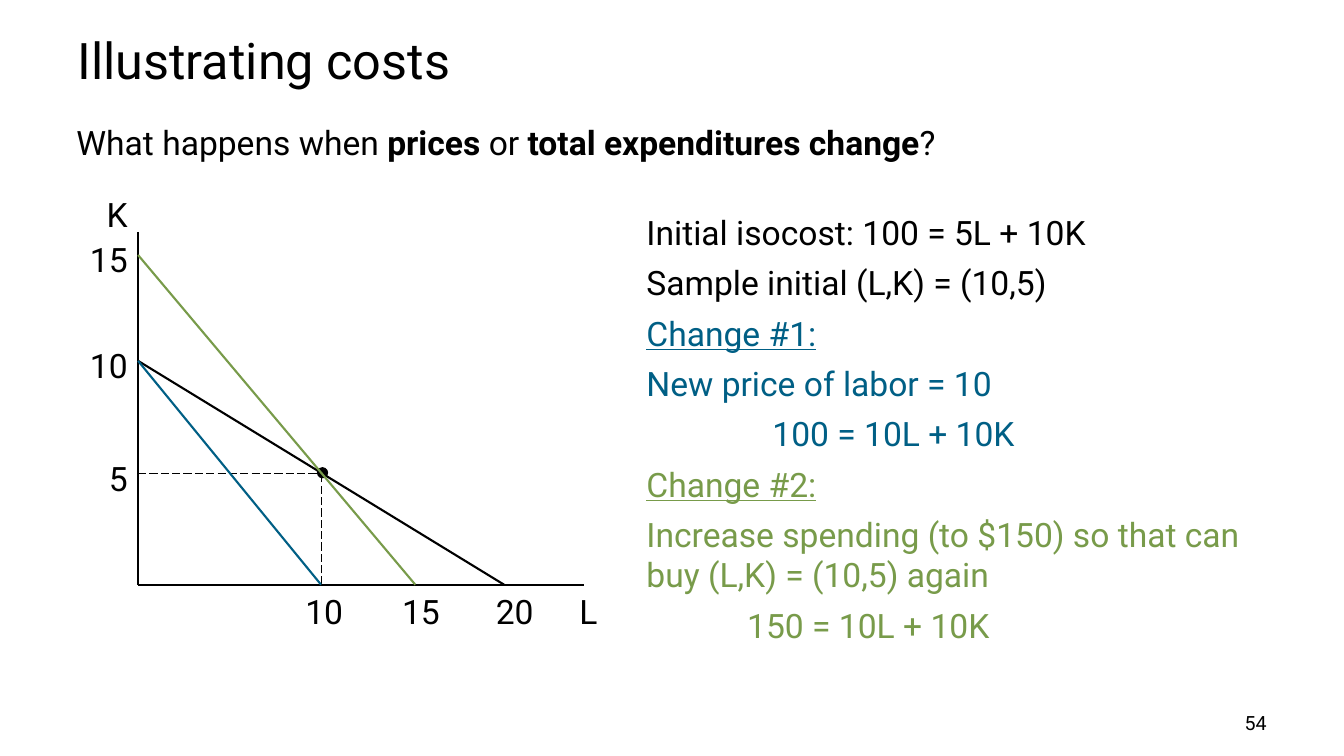
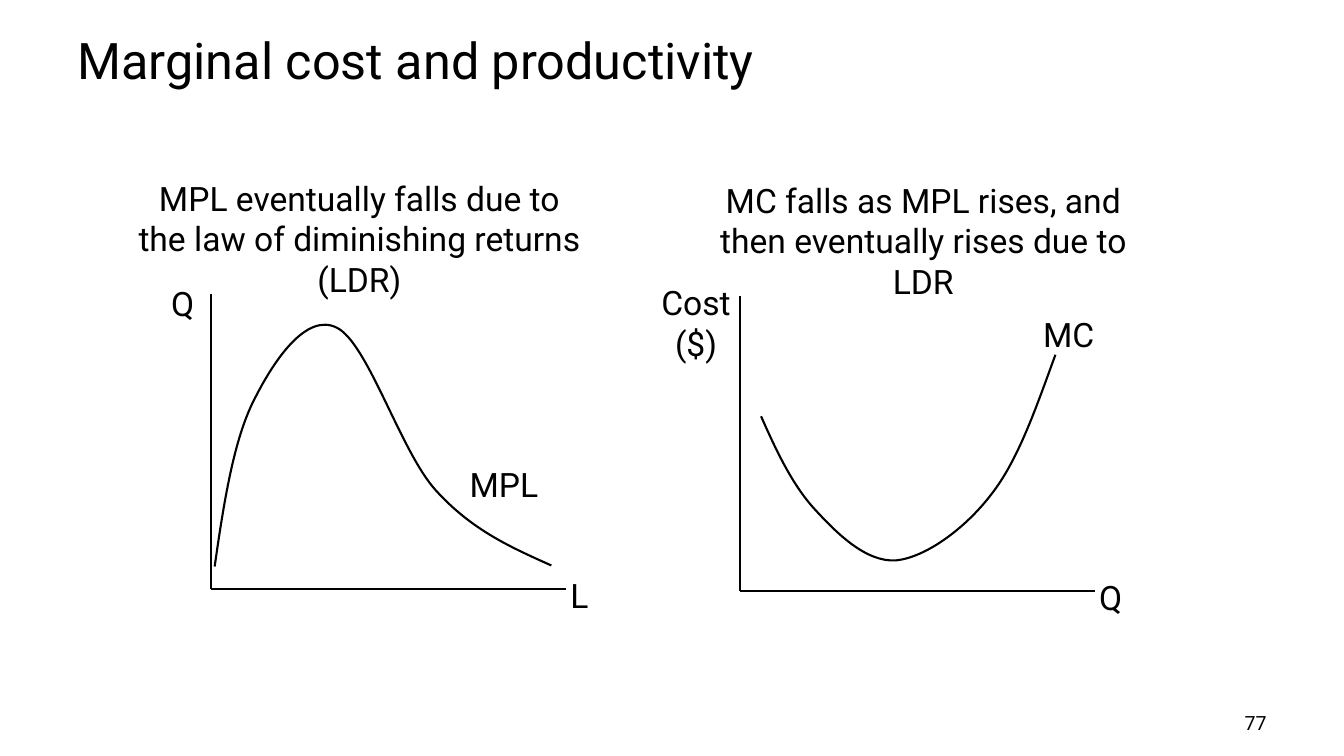
from dataclasses import dataclass

import lxml.etree
import pptx
import pptx.dml.color
import pptx.enum.dml
import pptx.enum.shapes
import pptx.enum.text
import pptx.oxml.ns
import pptx.util

# Lengths are cells of a square grid, ten cells to the inch.
CELL = pptx.util.Inches(0.1)
WIDE, HIGH = 133.33, 75
FONT = "Roboto"
INK, BLUE, GREEN = "000000", "005F85", "789B4A"
ALIGN = pptx.enum.text.PP_ALIGN
ANCHOR = pptx.enum.text.MSO_ANCHOR
LARGE_DASH = pptx.enum.dml.MSO_LINE.LONG_DASH

Point = tuple[float, float]
Box = tuple[float, float, float, float]


@dataclass
class Para:
    """Runs alternate between plain and bold."""
    runs: tuple[str, ...]
    color: str = INK
    under: bool = False
    indent: float = 0


@dataclass
class Panel:
    """A sketch graph; all places except the origin are offsets from it."""
    origin: Point
    cap: str
    cap_at: Point
    cap_w: float
    up: tuple[str, ...]
    up_at: Point
    up_w: float
    up_align: ALIGN
    right: str
    name: str
    name_at: Point
    curve: list[Point]


def size(n: float) -> int:
    return round(n * CELL)


def tint(code: str) -> pptx.dml.color.RGBColor:
    return pptx.dml.color.RGBColor.from_string(code)


def text(slide, box: Box, paras: list[Para], *, pt: float = 24,
         align=ALIGN.LEFT, anchor=ANCHOR.TOP, gap: float = 0) -> None:
    frame = slide.shapes.add_textbox(*map(size, box)).text_frame
    frame.word_wrap = True
    frame.vertical_anchor = anchor
    for i, para in enumerate(paras):
        line = frame.paragraphs[0] if i == 0 else frame.add_paragraph()
        line.alignment = align
        if i:
            line.space_before = pptx.util.Pt(gap)
        if para.indent:
            line._p.get_or_add_pPr().set("marL", str(size(para.indent)))
        for j, words in enumerate(para.runs):
            run = line.add_run()
            run.text = words
            font = run.font
            font.name, font.size = FONT, pptx.util.Pt(pt)
            font.bold, font.underline = j % 2 == 1, para.under
            font.color.rgb = tint(para.color)


def label(slide, words: str, box: Box, **form) -> None:
    text(slide, box, [Para((words,))], **form)


def line(slide, start: Point, end: Point, color: str = INK,
         pt: float = 1.5, dash=None) -> None:
    link = slide.shapes.add_connector(
        pptx.enum.shapes.MSO_CONNECTOR.STRAIGHT, *map(size, start + end))
    link.line.color.rgb = tint(color)
    link.line.width = pptx.util.Pt(pt)
    if dash:
        link.line.dash_style = dash
    lxml.etree.SubElement(link._element.spPr, pptx.oxml.ns.qn("a:effectLst"))


def dot(slide, mid: Point, wide: float) -> None:
    x, y = mid
    mark = slide.shapes.add_shape(
        pptx.enum.shapes.MSO_SHAPE.OVAL,
        *map(size, (x - wide / 2, y - wide / 2, wide, wide)))
    mark.shadow.inherit = False
    mark.fill.solid()
    mark.fill.fore_color.rgb = mark.line.color.rgb = tint(INK)
    mark.line.width = pptx.util.Pt(0.75)


def curve(slide, knots: list[Point]) -> None:
    """Draw joined cubic Bezier curves: a start, then three knots for each."""
    dots = [(size(x), size(y)) for x, y in knots]
    pen = slide.shapes.build_freeform(*dots[0])
    pen.add_line_segments(dots[1:], close=False)
    shape = pen.convert_to_shape()
    legs = list(shape._element.iter(pptx.oxml.ns.qn("a:lnTo")))
    for i in range(0, len(legs), 3):
        bend = lxml.etree.Element(pptx.oxml.ns.qn("a:cubicBezTo"))
        legs[i].addprevious(bend)
        for leg in legs[i:i + 3]:
            bend.append(leg[0])
            leg.getparent().remove(leg)
    shape.shadow.inherit = False
    shape.fill.background()
    shape.line.color.rgb = tint(INK)
    shape.line.width = pptx.util.Pt(1.5)


def axes(slide, base: Point, wide: float, high: float) -> None:
    x, y = base
    line(slide, (x, y - high), base)
    line(slide, base, (x + wide, y))


def start(deck, title: str, page: int):
    """Add a slide with its title and page number."""
    slide = deck.slides.add_slide(deck.slide_layouts[6])
    label(slide, title, (6.7, 2.3, 120, 7.1), pt=36, anchor=ANCHOR.MIDDLE)
    label(slide, str(page), (95.55, 70.05, 31.1, 3.4), pt=14,
          align=ALIGN.RIGHT)
    return slide


def costs(deck) -> None:
    slide = start(deck, "Illustrating costs", 54)
    left, base = 13.7, 58
    across = {10: 31.85, 15: 41.2, 20: 50}
    up = {15: 25.3, 10: 35.8, 5: 47}

    axes(slide, (left, base), 44.2, 35)
    line(slide, (left, up[10]), (across[20], base))
    mix = across[10], up[5]
    dot(slide, (32, 46.9), 1)
    for foot in ((left, up[5]), (across[10], base)):
        line(slide, foot, mix, pt=0.75, dash=LARGE_DASH)
    for most, color in ((10, BLUE), (15, GREEN)):
        line(slide, (left, up[most]), (across[most], base), color)

    ticks = [("K", 18.75)] + [(str(k), y - 2.05) for k, y in up.items()]
    for words, top in ticks:
        label(slide, words, (6.75, top, 6.9, 5), align=ALIGN.RIGHT)
    for words, x in (("10", 29.3), ("15", 38.9), ("20", 48.2), ("L", 56.5)):
        label(slide, words, (x, 58.1, 6.9, 5))

    text(slide, (6.6, 11.6, 90, 5), [Para((
        "What happens when ", "prices", " or ",
        "total expenditures change", "?"))])
    text(slide, (63.15, 20.5, 61.7, 45.8), [
        Para(("Initial isocost: 100 = 5L + 10K",)),
        Para(("Sample initial (L,K) = (10,5)",)),
        Para(("Change #1:",), BLUE, under=True),
        Para(("New price of labor = 10",), BLUE),
        Para(("100 = 10L + 10K",), BLUE, indent=12.5),
        Para(("Change #2:",), GREEN, under=True),
        Para(("Increase spending (to $150) so that can buy "
              "(L,K) = (10,5) again",), GREEN),
        Para(("150 = 10L + 10K",), GREEN, indent=10),
    ], gap=7.2)


def graph(slide, panel: Panel) -> None:
    x, y = panel.origin

    def place(at: Point, wide: float, high: float) -> Box:
        return x + at[0], y + at[1], wide, high

    axes(slide, panel.origin, 35.2, 29.2)
    curve(slide, [(x + dx, y + dy) for dx, dy in panel.curve])
    label(slide, panel.cap, place(panel.cap_at, panel.cap_w, 9.1),
          align=ALIGN.CENTER)
    text(slide, place(panel.up_at, panel.up_w, 5),
         [Para((words,)) for words in panel.up], align=panel.up_align)
    label(slide, panel.right, place((34.65, -1.85), 6, 5))
    label(slide, panel.name, place(panel.name_at, 10.5, 5))


def output(deck) -> None:
    slide = start(deck, "Marginal cost and productivity", 77)
    panels = [
        Panel((20.95, 58.4),
              "MPL eventually falls due to the law of diminishing "
              "returns (LDR)", (-8.9, -41.25), 47.2,
              ("Q",), (-4.95, -30.8), 4.6, ALIGN.LEFT,
              "L", "MPL", (24.65, -12.9),
              [(0.35, -2.2), (1.25, -8.5), (2.25, -14.8), (4.25, -18.7),
               (6.25, -22.7), (9.45, -27.4), (12.45, -25.9),
               (15.55, -24.4), (18.75, -13.7), (22.25, -9.8),
               (25.85, -5.8), (29.75, -4.1), (33.75, -2.3)]),
        Panel((73.4, 58.6),
              "MC falls as MPL rises, and then eventually rises due "
              "to LDR", (-4.3, -41.25), 45,
              ("Cost", "($)"), (-9.4, -31.1), 10.1, ALIGN.CENTER,
              "Q", "MC", (29.1, -27.95),
              [(2.1, -17.3), (3.6, -13.9), (5.2, -10.5), (7.4, -8.1),
               (9.6, -5.7), (12.5, -2.8), (15.5, -3),
               (18.4, -3.3), (22.3, -6.1), (24.9, -9.5),
               (27.6, -12.9), (29.4, -18.2), (31.3, -23.4)]),
    ]
    for panel in panels:
        graph(slide, panel)


def main() -> None:
    deck = pptx.Presentation()
    deck.slide_width, deck.slide_height = size(WIDE), size(HIGH)
    costs(deck)
    output(deck)
    deck.save("out.pptx")


if __name__ == "__main__":
    main()
